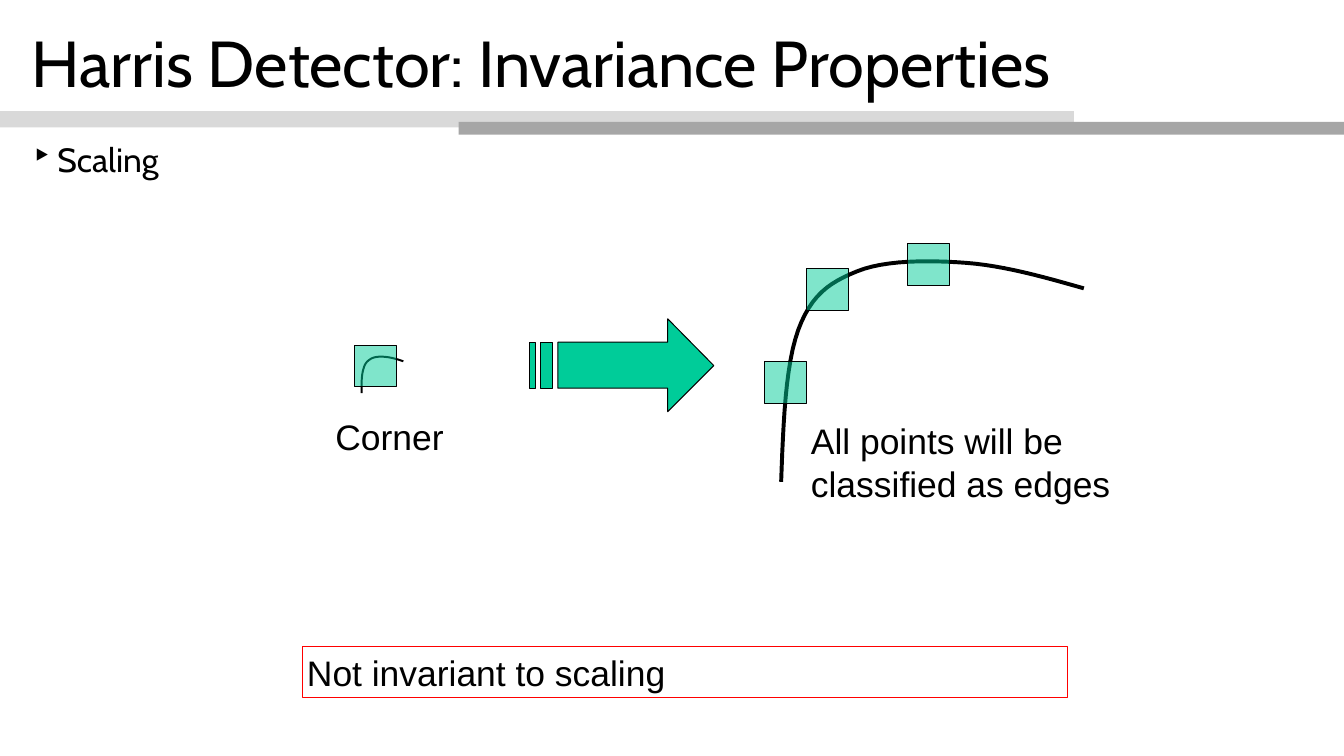
from lxml.etree import SubElement
from pptx import Presentation
from pptx.dml.color import RGBColor
from pptx.enum.shapes import MSO_SHAPE
from pptx.enum.text import MSO_ANCHOR, MSO_AUTO_SIZE, PP_ALIGN
from pptx.oxml.ns import qn
from pptx.util import Inches, Pt

BLACK = RGBColor(0x00, 0x00, 0x00)
GREEN = RGBColor(0x00, 0xCC, 0x99)
RED = RGBColor(0xFF, 0x00, 0x00)
LIGHT_GREY = RGBColor(0xD9, 0xD9, 0xD9)
DARK_GREY = RGBColor(0xA6, 0xA6, 0xA6)
WINDOW_SIZE = 0.59
CURVE_STEPS = 12

prs = Presentation()
prs.slide_width, prs.slide_height = Inches(18.96), Inches(10.67)
slide = prs.slides.add_slide(prs.slide_layouts[5])


def style(shape, fill=None, line=None, width=1, alpha=None):
    shape.shadow.inherit = False
    if fill is None:
        shape.fill.background()
    else:
        shape.fill.solid()
        shape.fill.fore_color.rgb = fill
    if alpha is not None:
        color = shape.fill._xPr.find(qn("a:solidFill"))[0]
        SubElement(color, qn("a:alpha")).set("val", str(alpha * 1000))
    if line is None:
        shape.line.fill.background()
    else:
        shape.line.color.rgb = line
        shape.line.width = Pt(width)


def outline(shapes, points, close):
    corners = [(Inches(x), Inches(y)) for x, y in points]
    builder = shapes.build_freeform(*corners[0])
    builder.add_line_segments(corners[1:], close=close)
    return builder.convert_to_shape()


# Overlapping strips under the title
for left, top, width, height, color in [
    (0, 1.57, 15.15, 0.23, LIGHT_GREY),
    (6.47, 1.72, 12.49, 0.18, DARK_GREY),
]:
    strip = slide.shapes.add_shape(
        MSO_SHAPE.RECTANGLE, Inches(left), Inches(top), Inches(width), Inches(height))
    style(strip, color)

# Title
title = slide.shapes.title
title.left, title.top = Inches(0.35), Inches(0.22)
title.width, title.height = Inches(18.23), Inches(1.44)
title.text_frame.auto_size = MSO_AUTO_SIZE.NONE
title.text_frame.vertical_anchor = MSO_ANCHOR.MIDDLE
heading = title.text_frame.paragraphs[0]
heading.alignment = PP_ALIGN.LEFT
heading.line_spacing = 0.9
heading_run = heading.add_run()
heading_run.text = "Harris Detector: Invariance Properties"
heading_run.font.name, heading_run.font.size = "Cabin", Pt(66)
heading_run.font.color.rgb = BLACK

# Bulleted topic
topic = slide.shapes.add_textbox(Inches(0.35), Inches(1.97), Inches(18.26), Inches(8.48))
topic.text_frame.word_wrap = True
bullet = topic.text_frame.paragraphs[0]
bullet.line_spacing = 0.9
bullet_props = bullet._p.get_or_add_pPr()
bullet_props.set("marL", str(Inches(0.36)))
bullet_props.set("indent", str(-Inches(0.36)))
SubElement(bullet_props, qn("a:buChar")).set("char", "‣")
topic_run = bullet.add_run()
topic_run.text = "Scaling"
topic_run.font.name, topic_run.font.size = "Cabin", Pt(34.1)
topic_run.font.color.rgb = BLACK

# Captions and the framed conclusion
for words, left, top, width, height, frame in [
    ("All points will be classified as edges", 11.38, 5.86, 4.57, 1.32, None),
    ("Corner", 4.67, 5.8, 2.49, 0.72, None),
    ("Not invariant to scaling", 4.27, 9.13, 10.79, 0.72, RED),
]:
    caption = slide.shapes.add_textbox(
        Inches(left), Inches(top), Inches(width), Inches(height))
    if frame is not None:
        caption.line.color.rgb = frame
        caption.line.width = Pt(1)
    text = caption.text_frame
    text.word_wrap = True
    text.auto_size = MSO_AUTO_SIZE.SHAPE_TO_FIT_TEXT
    text.vertical_anchor = MSO_ANCHOR.MIDDLE
    text.margin_left = text.margin_right = Inches(0.06)
    text.margin_top = text.margin_bottom = Inches(0.06)
    caption_run = text.paragraphs[0].add_run()
    caption_run.text = words
    caption_run.font.name, caption_run.font.size = "Arial", Pt(36)
    caption_run.font.color.rgb = BLACK

# Edge curve at both scales, each with its detection windows on top
small_curve = [
    (5.1, 5.55), (5.1, 5.41), (5.1, 5.28), (5.13, 5.2), (5.15, 5.12), (5.19, 5.09),
    (5.24, 5.06), (5.3, 5.03), (5.38, 5.03), (5.46, 5.04), (5.53, 5.05), (5.61, 5.07),
    (5.69, 5.1)]
large_curve = [
    (11.02, 6.8), (11.05, 5.98), (11.08, 5.16), (11.26, 4.66), (11.44, 4.17),
    (11.69, 3.99), (12.09, 3.83), (12.48, 3.67), (13.1, 3.67), (13.63, 3.71),
    (14.16, 3.75), (14.73, 3.91), (15.29, 4.07)]
for controls, weight, windows in [
    (small_curve, 2, [(5, 4.87)]),
    (large_curve, 4, [(12.8, 3.44), (11.38, 3.79), (10.79, 5.1)]),
]:
    group = slide.shapes.add_group_shape().shapes
    points = [controls[0]]
    for start in range(0, len(controls) - 1, 3):
        bezier = controls[start:start + 4]
        for step in range(1, CURVE_STEPS + 1):
            t = step / CURVE_STEPS
            weights = ((1 - t) ** 3, 3 * t * (1 - t) ** 2, 3 * t ** 2 * (1 - t), t ** 3)
            points.append(tuple(
                sum(w * p[axis] for w, p in zip(weights, bezier)) for axis in (0, 1)))
    style(outline(group, points, close=False), line=BLACK, width=weight)
    for left, top in windows:
        window = group.add_shape(
            MSO_SHAPE.RECTANGLE, Inches(left), Inches(top),
            Inches(WINDOW_SIZE), Inches(WINDOW_SIZE))
        style(window, GREEN, BLACK, alpha=50)

# Striped arrow from the small to the large scale
arrow = slide.shapes.add_group_shape().shapes
arrow_points = [(9.42, 4.5), (9.42, 4.83), (7.87, 4.83), (7.87, 5.48),
                (9.42, 5.48), (9.42, 5.81), (10.07, 5.16)]
style(outline(arrow, arrow_points, close=True), GREEN, BLACK)
for left, width in [(7.63, 0.16), (7.47, 0.08)]:
    stripe = arrow.add_shape(
        MSO_SHAPE.RECTANGLE, Inches(left), Inches(4.83), Inches(width), Inches(0.65))
    style(stripe, GREEN, BLACK)

prs.save("out.pptx")
